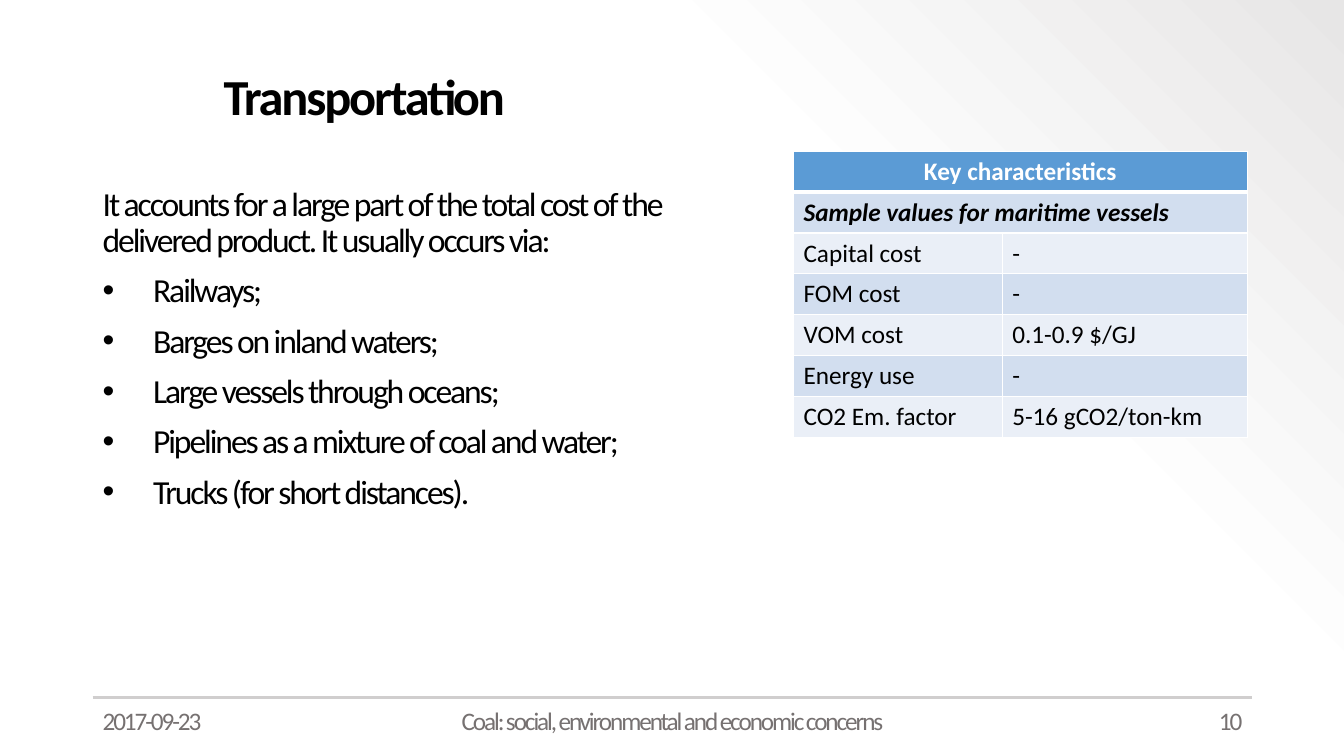
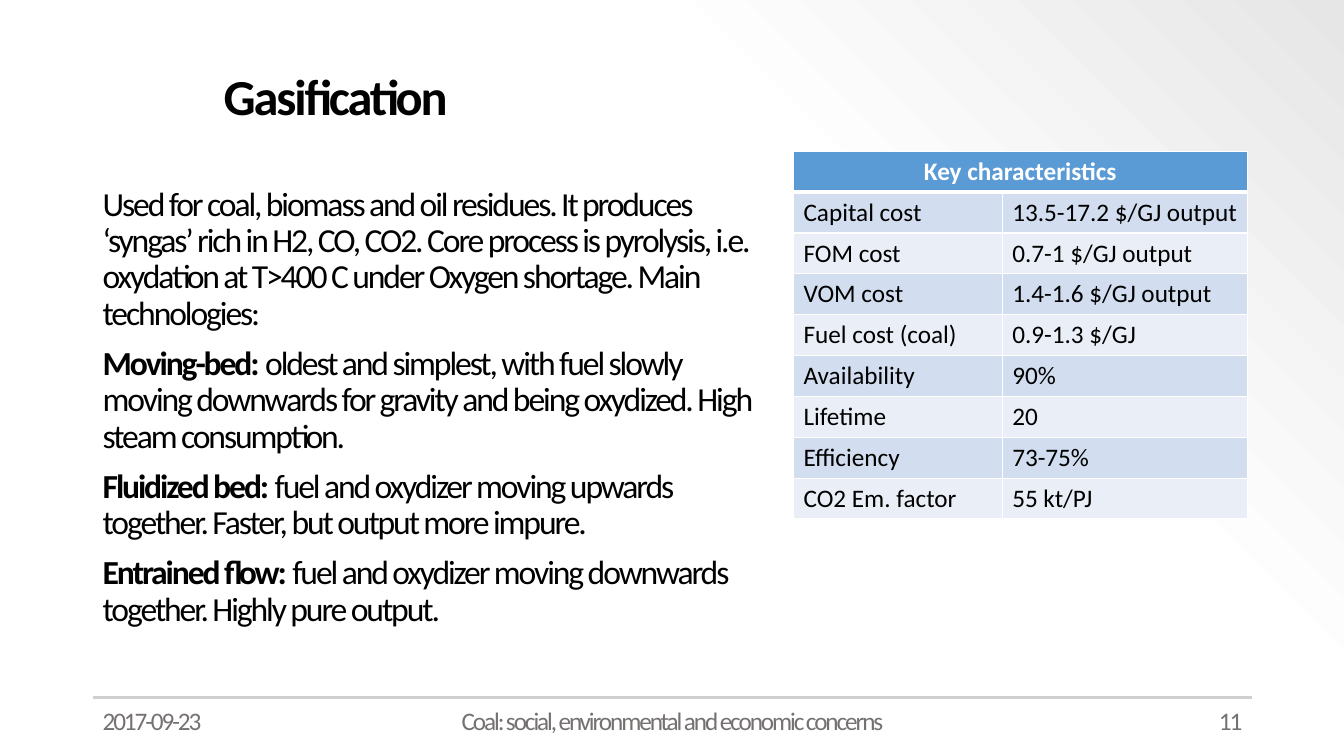
from lxml.etree import SubElement
from pptx import Presentation
from pptx.dml.color import RGBColor
from pptx.enum.shapes import MSO_CONNECTOR
from pptx.enum.text import MSO_ANCHOR, PP_ALIGN
from pptx.oxml import parse_xml
from pptx.oxml.ns import nsdecls, qn
from pptx.util import Inches, Pt

BLACK = RGBColor(0x00, 0x00, 0x00)
WHITE = RGBColor(0xFF, 0xFF, 0xFF)
FOOTER_GREY = RGBColor(0x76, 0x71, 0x71)
RULE_GREY = RGBColor(0xD0, 0xCE, 0xCE)
HEADER_BLUE = RGBColor(0x5B, 0x9B, 0xD5)
BAND_DARK = RGBColor(0xD2, 0xDE, 0xEF)
BAND_LIGHT = RGBColor(0xEA, 0xEF, 0xF7)

FONT = "Calibri"
LEFT = 0.92
RIGHT = 12.42
FOOTER_TOP = 6.95
ROW_HEIGHT = 3.65 / 9
COLUMN_WIDTHS = (2.07, 2.43)

BACKGROUND_STOPS = (
    f'<a:gsLst {nsdecls("a")}>'
    '<a:gs pos="0"><a:srgbClr val="FFFFFF"/></a:gs>'
    '<a:gs pos="69000"><a:srgbClr val="FDFDFD"/></a:gs>'
    '<a:gs pos="100000"><a:srgbClr val="E7E6E6"><a:alpha val="50000"/></a:srgbClr></a:gs>'
    '</a:gsLst>'
)

SLIDES = [
    {
        "number": "10",
        "title": "Transportation",
        "body": [
            ("", "It accounts for a large part of the total cost of the delivered product. It usually occurs via:"),
            ("•", "Railways;"),
            ("•", "Barges on inland waters;"),
            ("•", "Large vessels through oceans;"),
            ("•", "Pipelines as a mixture of coal and water;"),
            ("•", "Trucks (for short distances)."),
        ],
        "rows": [
            ("Sample values for maritime vessels",),
            ("Capital cost", "-"),
            ("FOM cost", "-"),
            ("VOM cost", "0.1-0.9 $/GJ"),
            ("Energy use", "-"),
            ("CO2 Em. factor", "5-16 gCO2/ton-km"),
        ],
    },
    {
        "number": "11",
        "title": "Gasification",
        "body": [
            ("", "Used for coal, biomass and oil residues. It produces ‘syngas’ rich in H2, CO, CO2. "
                 "Core process is pyrolysis, i.e. oxydation at T>400 C under Oxygen shortage. Main technologies:"),
            ("Moving-bed: ", "oldest and simplest, with fuel slowly moving downwards for gravity "
                             "and being oxydized. High steam consumption."),
            ("Fluidized bed: ", "fuel and oxydizer moving upwards together. Faster, but output more impure."),
            ("Entrained flow: ", "fuel and oxydizer moving downwards together. Highly pure output."),
        ],
        "rows": [
            ("Capital cost", "13.5-17.2 $/GJ output"),
            ("FOM cost", "0.7-1 $/GJ output"),
            ("VOM cost", "1.4-1.6 $/GJ output"),
            ("Fuel cost (coal)", "0.9-1.3 $/GJ"),
            ("Availability", "90%"),
            ("Lifetime", "20"),
            ("Efficiency", "73-75%"),
            ("CO2 Em. factor", "55 kt/PJ"),
        ],
    },
]


def add_run(paragraph, text, size, color, bold=False, italic=False, spacing=-1.5):
    run = paragraph.add_run()
    run.text = text
    run.font.name = FONT
    run.font.size = Pt(size)
    run.font.color.rgb = color
    run.font.bold = bold
    run.font.italic = italic
    if spacing:
        run.font._element.set("spc", str(int(spacing * 100)))


def add_text_frame(slide, left, top, width, height):
    box = slide.shapes.add_textbox(Inches(left), Inches(top), Inches(width), Inches(height))
    box.text_frame.word_wrap = True
    return box.text_frame


presentation = Presentation()
presentation.slide_width = Inches(13.33)
presentation.slide_height = Inches(7.5)

background = presentation.slide_master.background.fill
background.gradient()
background.gradient_angle = 45
stops = presentation.slide_master.element.find(".//" + qn("a:gsLst"))
stops.getparent().replace(stops, parse_xml(BACKGROUND_STOPS))

for content in SLIDES:
    slide = presentation.slides.add_slide(presentation.slide_layouts[6])

    rule = slide.shapes.add_connector(
        MSO_CONNECTOR.STRAIGHT, Inches(LEFT), Inches(6.92), Inches(RIGHT), Inches(6.92))
    rule.line.color.rgb = RULE_GREY
    rule.line.width = Pt(1.5)
    SubElement(rule._element.spPr, qn("a:effectLst"))

    for left, width, alignment, text in (
        (LEFT, 3, PP_ALIGN.LEFT, "2017-09-23"),
        (4.42, 4.5, PP_ALIGN.CENTER, "Coal: social, environmental and economic concerns"),
        (RIGHT - 3, 3, PP_ALIGN.RIGHT, content["number"]),
    ):
        paragraph = add_text_frame(slide, left, FOOTER_TOP, width, 0.4).paragraphs[0]
        paragraph.alignment = alignment
        add_run(paragraph, text, 18, FOOTER_GREY)

    title_frame = add_text_frame(slide, 2.12, 0.37, 10.3, 1.22)
    title_frame.vertical_anchor = MSO_ANCHOR.MIDDLE
    paragraph = title_frame.paragraphs[0]
    paragraph.line_spacing = 0.9
    add_run(paragraph, content["title"], 36, BLACK, bold=True)

    body_frame = add_text_frame(slide, LEFT, 1.81, 6.78, 5.37)
    for index, (lead, text) in enumerate(content["body"]):
        paragraph = body_frame.add_paragraph() if index else body_frame.paragraphs[0]
        paragraph.line_spacing = 0.9
        if index:
            paragraph.space_before = Pt(10)
        if lead == "•":
            properties = paragraph._p.get_or_add_pPr()
            properties.set("marL", str(Inches(0.5)))
            properties.set("indent", str(-Inches(0.5)))
            SubElement(properties, qn("a:buFont"), typeface="Arial")
            SubElement(properties, qn("a:buChar"), char=lead)
        elif lead:
            add_run(paragraph, lead, 24, BLACK, bold=True)
        add_run(paragraph, text, 24, BLACK)

    rows = [("Key characteristics",)] + content["rows"]
    table = slide.shapes.add_table(
        len(rows), 2, Inches(7.87), Inches(1.5),
        Inches(sum(COLUMN_WIDTHS)), Inches(ROW_HEIGHT * len(rows))).table
    table.first_row = False
    table.horz_banding = False
    for column, width in zip(table.columns, COLUMN_WIDTHS):
        column.width = Inches(width)

    for row_index, values in enumerate(rows):
        table.rows[row_index].height = Inches(ROW_HEIGHT)
        is_header = row_index == 0
        is_merged = len(values) == 1
        if is_merged:
            table.cell(row_index, 0).merge(table.cell(row_index, 1))
        for column_index, text in enumerate(values):
            paragraph = table.cell(row_index, column_index).text_frame.paragraphs[0]
            paragraph.alignment = PP_ALIGN.CENTER if is_header else PP_ALIGN.LEFT
            add_run(paragraph, text, 18, WHITE if is_header else BLACK,
                    bold=is_merged, italic=is_merged and not is_header, spacing=0)
        for column_index in range(2):
            cell = table.cell(row_index, column_index)
            cell.fill.solid()
            cell.fill.fore_color.rgb = (
                HEADER_BLUE if is_header else BAND_DARK if row_index % 2 else BAND_LIGHT)
            border_widths = {"L": 1, "R": 1, "T": 3 if row_index == 1 else 1, "B": 3 if is_header else 1}
            for position, (side, width) in enumerate(border_widths.items()):
                cell._tc.get_or_add_tcPr().insert(position, parse_xml(
                    f'<a:ln{side} {nsdecls("a")} w="{Pt(width)}"><a:solidFill>'
                    f'<a:srgbClr val="{WHITE}"/></a:solidFill></a:ln{side}>'))

presentation.save("out.pptx")
